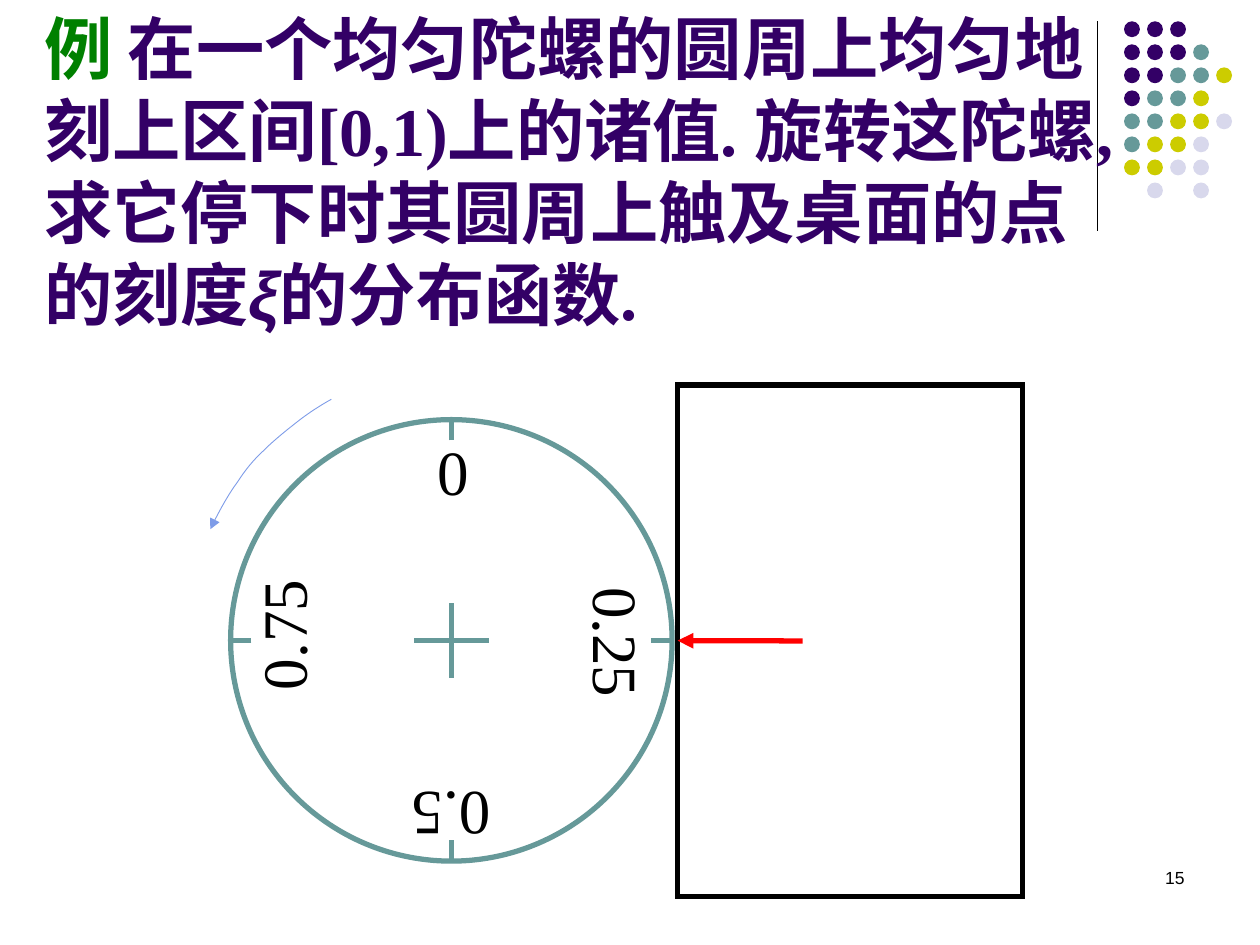
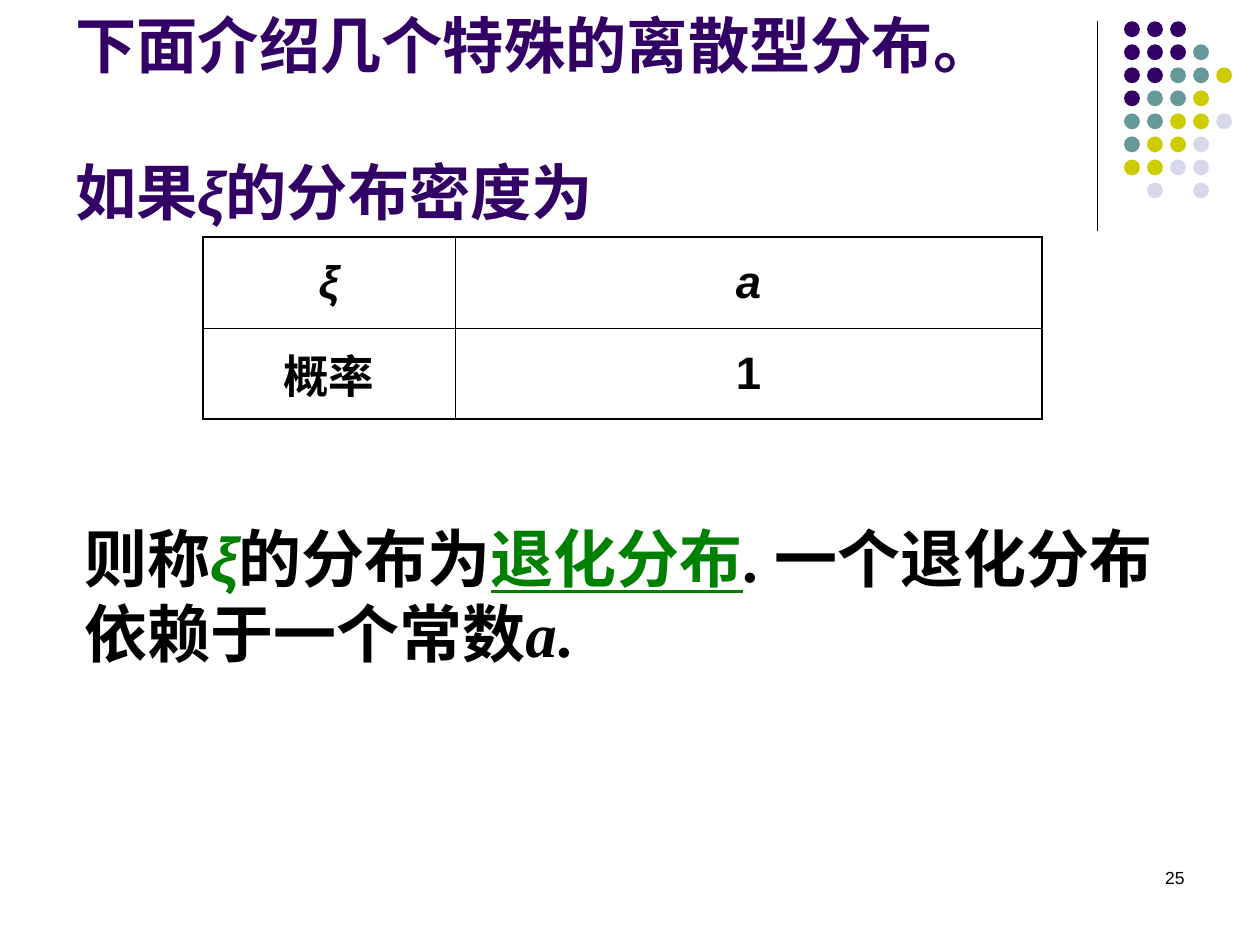
"""Build two probability slides: a spinning top and the degenerate distribution."""
from dataclasses import dataclass

from lxml import etree
from pptx import Presentation
from pptx.dml.color import RGBColor
from pptx.enum.shapes import MSO_CONNECTOR, MSO_SHAPE
from pptx.enum.text import MSO_ANCHOR, PP_ALIGN
from pptx.oxml.ns import qn
from pptx.util import Cm, Pt

STRAIGHT = MSO_CONNECTOR.STRAIGHT
ELLIPSE, RECTANGLE = MSO_SHAPE.OVAL, MSO_SHAPE.RECTANGLE
TOP, MIDDLE, BOTTOM = MSO_ANCHOR.TOP, MSO_ANCHOR.MIDDLE, MSO_ANCHOR.BOTTOM
LEFT, CENTER, RIGHT = PP_ALIGN.LEFT, PP_ALIGN.CENTER, PP_ALIGN.RIGHT
RECT_LEFT_SIDE = 1


@dataclass(frozen=True)
class Theme:
    purple: str = "330066"
    teal: str = "669999"
    olive: str = "CCCC00"
    lilac: str = "D8D8EC"
    green: str = "008000"
    black: str = "000000"
    red: str = "FF0000"
    blue: str = "7E9CE8"
    serif: str = "Times New Roman"
    sans: str = "Arial"
    question_size: float = 39
    heading_size: float = 35
    body_size: float = 36
    table_size: float = 26
    number_size: float = 10
    heavy: float = 3
    rule: float = 0.75
    thin: float = 0.5
    outer_border: float = 1.08
    inner_border: float = 0.45


THEME = Theme()

DOT_ROWS = ["PPP", "PPPT", "PPTTY", "PTTY", "TTYYL", "TYYL", "YYLL", " L L"]
DOT_COLOURS = {"P": THEME.purple, "T": THEME.teal, "Y": THEME.olive, "L": THEME.lilac}
DOT_LEFT, DOT_TOP, DOT_SIZE, DOT_PITCH = 22.66, 0.43, 0.32, 3.25 / 7

XI = {"font": THEME.sans, "italic": True}
QUESTION = [[
    ("例", {"colour": THEME.green}),
    (" 在一个均匀陀螺的圆周上均匀地刻上区间[0,1)上的诸值. "
     "旋转这陀螺, 求它停下时其圆周上触及桌面的点的刻度", {}),
    ("ξ", XI),
    ("的分布函数.", {}),
]]
HEADING = [
    [("下面介绍几个特殊的离散型分布。", {})],
    [("如果", {}), ("ξ", XI), ("的分布密度为", {})],
]
CONCLUSION = [[
    ("则称", {}),
    ("ξ", {**XI, "colour": THEME.green}),
    ("的分布为", {}),
    ("退化分布", {"colour": THEME.green, "underline": True}),
    (". 一个退化分布依赖于一个常数", {}),
    ("a", {"italic": True}),
    (".", {}),
]]
DENSITY = [
    [("ξ", {"italic": True}), ("a", {"italic": True})],
    [("概率", {}), ("1", {})],
]
DENSITY_COLUMNS, DENSITY_ROW = (5.08, 11.84), 1.83

HUB_X, HUB_Y, RADIUS, TICK, CROSS_ARM = 9.1, 12.91, 4.45, 0.42, 0.75
SCALE_LABELS = [
    ("0", 9.13, 9.48, 1.4, 0),
    ("0.25", 12.46, 12.95, 3, 90),
    ("0.5", 9.09, 16.48, 2.4, 180),
    ("0.75", 5.68, 12.8, 3, 270),
]
LABEL_HEIGHT = 1.78
SPIN_CURVE = [
    (6.68, 8.05), (6.45, 8.18), (6.25, 8.31), (6.05, 8.46), (5.82, 8.64),
    (5.54, 8.86), (5.33, 9.07), (5.11, 9.27), (4.95, 9.47), (4.78, 9.73),
    (4.57, 10.01), (4.34, 10.46), (4.24, 10.67),
]
CURVE_STEPS = 8
TABLE_TOP = (13.66, 7.76, 6.96, 10.31)
POINTER_START, POINTER_END = (13.66, 12.92), (16.18, 12.92)


def rgb(colour):
    return RGBColor.from_string(colour)


def style_line(line, colour, width):
    line.color.rgb = rgb(colour)
    line.width = Pt(width)


def add_line_detail(shape, tag, **attributes):
    etree.SubElement(shape.line._get_or_add_ln(), qn(f"a:{tag}"), **attributes)


def add_line(slide, start, end, colour, width):
    connector = slide.shapes.add_connector(STRAIGHT, *map(Cm, start + end))
    style_line(connector.line, colour, width)
    etree.SubElement(connector._element.spPr, qn("a:effectLst"))
    return connector


def add_outline(slide, kind, bounds, colour, width):
    outline = slide.shapes.add_shape(kind, *map(Cm, bounds))
    outline.shadow.inherit = False
    outline.fill.background()
    style_line(outline.line, colour, width)
    add_line_detail(outline, "miter", lim="800000")
    return outline


def write(paragraph, runs, size, font, colour=THEME.black, bold=False, align=LEFT):
    paragraph.alignment = align
    paragraph.font.size = Pt(size)
    paragraph.font.bold = bold
    for text, style in runs:
        run = paragraph.add_run()
        run.text = text
        run.font.name = style.get("font", font)
        run.font.color.rgb = rgb(style.get("colour", colour))
        if style.get("italic"):
            run.font.italic = True
        if style.get("underline"):
            run.font.underline = True


def add_text(slide, bounds, paragraphs, size, font, anchor=TOP, wrap=True, gap=0, **look):
    box = slide.shapes.add_textbox(*map(Cm, bounds))
    frame = box.text_frame
    frame.word_wrap = wrap
    frame.vertical_anchor = anchor
    for index, runs in enumerate(paragraphs):
        paragraph = frame.add_paragraph() if index else frame.paragraphs[0]
        if index:
            paragraph.space_before = Pt(gap)
        write(paragraph, runs, size, font, **look)
    return box


def add_title(slide, bounds, paragraphs, size, font):
    add_text(slide, bounds, paragraphs, size, font, BOTTOM, gap=size * 1.2,
             colour=THEME.purple, bold=True)


def start_slide(deck, number):
    slide = deck.slides.add_slide(deck.slide_layouts[6])
    add_line(slide, (22.12, 0.43), (22.12, 4.65), THEME.black, THEME.rule)
    for row, letters in enumerate(DOT_ROWS):
        for column, letter in enumerate(letters):
            if letter in DOT_COLOURS:
                dot = slide.shapes.add_shape(
                    ELLIPSE, Cm(DOT_LEFT + column * DOT_PITCH),
                    Cm(DOT_TOP + row * DOT_PITCH), Cm(DOT_SIZE), Cm(DOT_SIZE))
                dot.shadow.inherit = False
                dot.fill.solid()
                dot.fill.fore_color.rgb = rgb(DOT_COLOURS[letter])
                dot.line.fill.background()
    add_text(slide, (18.21, 17.35, 5.92, 1.27), [[(number, {})]],
             THEME.number_size, THEME.sans, align=RIGHT)
    return slide


def add_dial(slide):
    def spoke(dx, dy, inner, outer):
        add_line(slide, (HUB_X + dx * inner, HUB_Y + dy * inner),
                 (HUB_X + dx * outer, HUB_Y + dy * outer), THEME.teal, THEME.heavy)

    for dx, dy in ((1, 0), (0, 1)):
        spoke(dx, dy, -CROSS_ARM, CROSS_ARM)
    add_outline(slide, ELLIPSE, (HUB_X - RADIUS, HUB_Y - RADIUS, 2 * RADIUS, 2 * RADIUS),
                THEME.teal, THEME.heavy)
    for dx, dy in ((-1, 0), (1, 0), (0, 1), (0, -1)):
        spoke(dx, dy, RADIUS - TICK, RADIUS)


def bezier_point(controls, t):
    weights = ((1 - t) ** 3, 3 * t * (1 - t) ** 2, 3 * t * t * (1 - t), t ** 3)
    return tuple(Cm(sum(w * point[axis] for w, point in zip(weights, controls)))
                 for axis in (0, 1))


def add_spin_arrow(slide):
    points = [bezier_point(SPIN_CURVE[first:first + 4], step / CURVE_STEPS)
              for first in range(0, len(SPIN_CURVE) - 1, 3)
              for step in range(1, CURVE_STEPS + 1)]
    builder = slide.shapes.build_freeform(*map(Cm, SPIN_CURVE[0]))
    builder.add_line_segments(points, close=False)
    spin = builder.convert_to_shape()
    spin.shadow.inherit = False
    spin.fill.background()
    style_line(spin.line, THEME.blue, THEME.thin)
    add_line_detail(spin, "tailEnd", type="triangle")


def border_cell(cell, widths):
    properties = cell._tc.get_or_add_tcPr()
    for index, (side, width) in enumerate(widths.items()):
        border = etree.Element(qn(f"a:ln{side}"), w=str(Pt(width)))
        fill = etree.SubElement(border, qn("a:solidFill"))
        etree.SubElement(fill, qn("a:srgbClr"), val=THEME.black)
        properties.insert(index, border)


def add_density_table(slide):
    rows, columns = len(DENSITY), len(DENSITY_COLUMNS)
    density = slide.shapes.add_table(
        rows, columns, Cm(4.09), Cm(4.78),
        Cm(sum(DENSITY_COLUMNS)), Cm(rows * DENSITY_ROW)).table
    density.first_row = density.horz_banding = False
    for column, width in zip(density.columns, DENSITY_COLUMNS):
        column.width = Cm(width)
    for r, entries in enumerate(DENSITY):
        density.rows[r].height = Cm(DENSITY_ROW)
        for c, entry in enumerate(entries):
            cell = density.cell(r, c)
            cell.fill.background()
            cell.vertical_anchor = MIDDLE
            write(cell.text_frame.paragraphs[0], [entry], THEME.table_size,
                  THEME.sans, bold=True, align=CENTER)
            on_edge = {"L": c == 0, "R": c == columns - 1, "T": r == 0, "B": r == rows - 1}
            border_cell(cell, {side: THEME.outer_border if edge else THEME.inner_border
                               for side, edge in on_edge.items()})


def build_top_slide(deck):
    slide = start_slide(deck, "15")
    add_title(slide, (0.64, 0, 22.45, 6.86), QUESTION, THEME.question_size, THEME.serif)
    add_dial(slide)
    add_spin_arrow(slide)
    for value, x, y, width, turn in SCALE_LABELS:
        label = add_text(slide, (x - width / 2, y - LABEL_HEIGHT / 2, width, LABEL_HEIGHT),
                         [[(value, {})]], THEME.body_size, THEME.serif,
                         wrap=False, align=CENTER)
        label.rotation = turn
    table_top = add_outline(slide, RECTANGLE, TABLE_TOP, THEME.black, THEME.heavy)
    pointer = add_line(slide, POINTER_START, POINTER_END, THEME.red, THEME.heavy)
    pointer.begin_connect(table_top, RECT_LEFT_SIDE)
    add_line_detail(pointer, "headEnd", type="triangle")


def build_degenerate_slide(deck):
    slide = start_slide(deck, "25")
    add_title(slide, (1.27, 0, 22.45, 4.72), HEADING, THEME.heading_size, THEME.sans)
    add_density_table(slide)
    add_text(slide, (1.45, 10.34, 22.33, 3.3), CONCLUSION,
             THEME.body_size, THEME.serif, bold=True)


def main():
    deck = Presentation()
    deck.slide_width, deck.slide_height = Cm(25.4), Cm(19.05)
    build_top_slide(deck)
    build_degenerate_slide(deck)
    deck.save("out.pptx")


if __name__ == "__main__":
    main()
